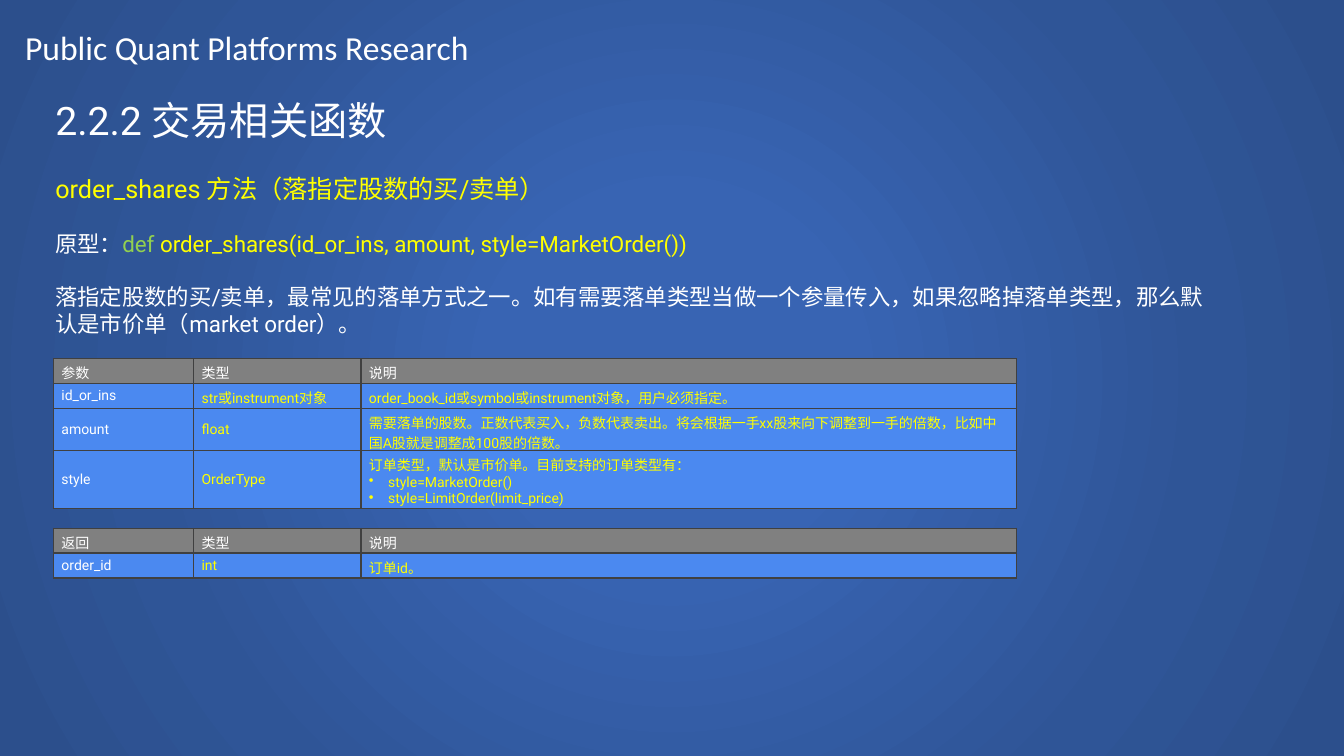
import dataclasses

import pptx
import pptx.dml.color
import pptx.enum.shapes
import pptx.enum.text
import pptx.oxml
import pptx.oxml.ns
import pptx.util
from lxml import etree

Inches = pptx.util.Inches
Pt = pptx.util.Pt
qn = pptx.oxml.ns.qn


@dataclasses.dataclass
class Theme:
    """Colours, fonts and type sizes of the deck."""
    white: str = "FFFFFF"
    yellow: str = "FFFF00"
    green: str = "92D050"
    header: str = "808080"
    cell: str = "4B89F0"
    border: str = "404040"
    glow: tuple = ((0, "3864B3"), (23, "3864B3"), (69, "2F5597"), (97, "2C4F8C"))
    body_font: str = "Roboto"
    banner_font: str = "Calibri"
    banner: int = 24
    title: int = 28
    heading: int = 18
    body: int = 16
    table: int = 10


def write(para, text, font, size, color):
    """Add one formatted span to a paragraph."""
    span = para.add_run()
    span.text = text
    span.font.name = font
    span.font.size = Pt(size)
    span.font.color.rgb = pptx.dml.color.RGBColor.from_string(color)


class Page:
    """Draws elements on one slide in one theme."""

    def __init__(self, deck, theme):
        self.slide = deck.slides.add_slide(deck.slide_layouts[6])
        self.theme = theme

    def backdrop(self, width, height):
        """Cover the slide with a radial gradient."""
        box = self.slide.shapes.add_shape(
            pptx.enum.shapes.MSO_SHAPE.RECTANGLE, 0, 0, width, height)
        box.shadow.inherit = False
        box.line.fill.background()
        box.fill.gradient()
        gradient = box.element.spPr.find(qn("a:gradFill"))
        for child in list(gradient):
            gradient.remove(child)
        stops = etree.SubElement(gradient, qn("a:gsLst"))
        for position, color in self.theme.glow:
            stop = etree.SubElement(stops, qn("a:gs"), pos=str(position * 1000))
            etree.SubElement(stop, qn("a:srgbClr"), val=color)
        circle = etree.SubElement(gradient, qn("a:path"), path="circle")
        etree.SubElement(circle, qn("a:fillToRect"),
                         dict.fromkeys("ltrb", "50000"))

    def text(self, left, top, width, height, paragraphs, font):
        """Add a text box of (size, space before, spans) paragraphs."""
        box = self.slide.shapes.add_textbox(
            Inches(left), Inches(top), Inches(width), Inches(height))
        frame = box.text_frame
        frame.word_wrap = True
        for index, (size, gap, spans) in enumerate(paragraphs):
            para = frame.add_paragraph() if index else frame.paragraphs[0]
            para.space_before = Pt(gap)
            for text, color in spans:
                write(para, text, font=font, size=size, color=color)

    def table(self, left, top, widths, heights, rows):
        """Add a bordered table with a grey header row."""
        grid = self.slide.shapes.add_table(
            len(rows), len(widths), Inches(left), Inches(top),
            Inches(sum(widths)), Inches(sum(heights))).table
        grid.first_row = grid.horz_banding = False
        for column, width in zip(grid.columns, widths):
            column.width = Inches(width)
        for row, (line, height) in enumerate(zip(rows, heights)):
            grid.rows[row].height = Inches(height)
            for column, lines in enumerate(line):
                self.cell(grid.cell(row, column), lines,
                          fill=self.theme.cell if row else self.theme.header,
                          color=self.theme.yellow if row and column else self.theme.white)

    def cell(self, cell, lines, fill, color):
        """Fill a cell; lines after the first are bulleted."""
        cell.vertical_anchor = pptx.enum.text.MSO_ANCHOR.MIDDLE
        cell.margin_left = cell.margin_right = Inches(0.08)
        cell.margin_top = cell.margin_bottom = Inches(0.04)
        cell.fill.solid()
        cell.fill.fore_color.rgb = pptx.dml.color.RGBColor.from_string(fill)
        properties = cell._tc.get_or_add_tcPr()
        for index, side in enumerate("LRTB"):
            edge = etree.Element(qn(f"a:ln{side}"), w=str(Pt(1)))
            paint = etree.SubElement(edge, qn("a:solidFill"))
            etree.SubElement(paint, qn("a:srgbClr"), val=self.theme.border)
            properties.insert(index, edge)
        frame = cell.text_frame
        for index, text in enumerate(lines):
            para = frame.add_paragraph() if index else frame.paragraphs[0]
            write(para, text, font=self.theme.body_font,
                  size=self.theme.table, color=color)
            if index:
                indent = Inches(0.19)
                bullet = para._p.get_or_add_pPr()
                bullet.set("marL", str(indent))
                bullet.set("indent", str(-indent))
                etree.SubElement(bullet, qn("a:buChar"), char="•")


def main():
    """Build and save the deck."""
    deck = pptx.Presentation()
    deck.slide_width, deck.slide_height = Inches(13.33), Inches(7.5)
    theme = Theme()
    page = Page(deck, theme)
    page.backdrop(deck.slide_width, deck.slide_height)
    page.text(0.45, 0.91, 11.77, 2.89, [
        (theme.title, 0, [("2.2.2 交易相关函数", theme.white)]),
        (theme.heading, 21, [("order_shares 方法（落指定股数的买/卖单）", theme.yellow)]),
        (theme.body, 19, [
            ("原型：", theme.white),
            ("def ", theme.green),
            ("order_shares(id_or_ins, amount, style=MarketOrder())", theme.yellow)]),
        (theme.body, 19, [(
            "落指定股数的买/卖单，最常见的落单方式之一。如有需要落单类型当做一个参量传入，"
            "如果忽略掉落单类型，那么默认是市价单（market order）。", theme.white)]),
    ], font=theme.body_font)
    page.text(0.15, 0.22, 5.04, 0.5, [
        (theme.banner, 0, [("Public Quant Platforms Research", theme.white)]),
    ], font=theme.banner_font)
    widths = (1.39, 1.66, 6.5)
    page.table(0.53, 3.56, widths, (0.24, 0.24, 0.41, 0.58), [
        (["参数"], ["类型"], ["说明"]),
        (["id_or_ins"], ["str或instrument对象"],
         ["order_book_id或symbol或instrument对象，用户必须指定。"]),
        (["amount"], ["float"],
         ["需要落单的股数。正数代表买入，负数代表卖出。将会根据一手xx股来向下调整到一手的倍数，"
          "比如中国A股就是调整成100股的倍数。"]),
        (["style"], ["OrderType"],
         ["订单类型，默认是市价单。目前支持的订单类型有：",
          "style=MarketOrder()", "style=LimitOrder(limit_price)"]),
    ])
    page.table(0.53, 5.24, widths, (0.24, 0.24), [
        (["返回"], ["类型"], ["说明"]),
        (["order_id"], ["int"], ["订单id。"]),
    ])
    deck.save("out.pptx")


if __name__ == "__main__":
    main()
